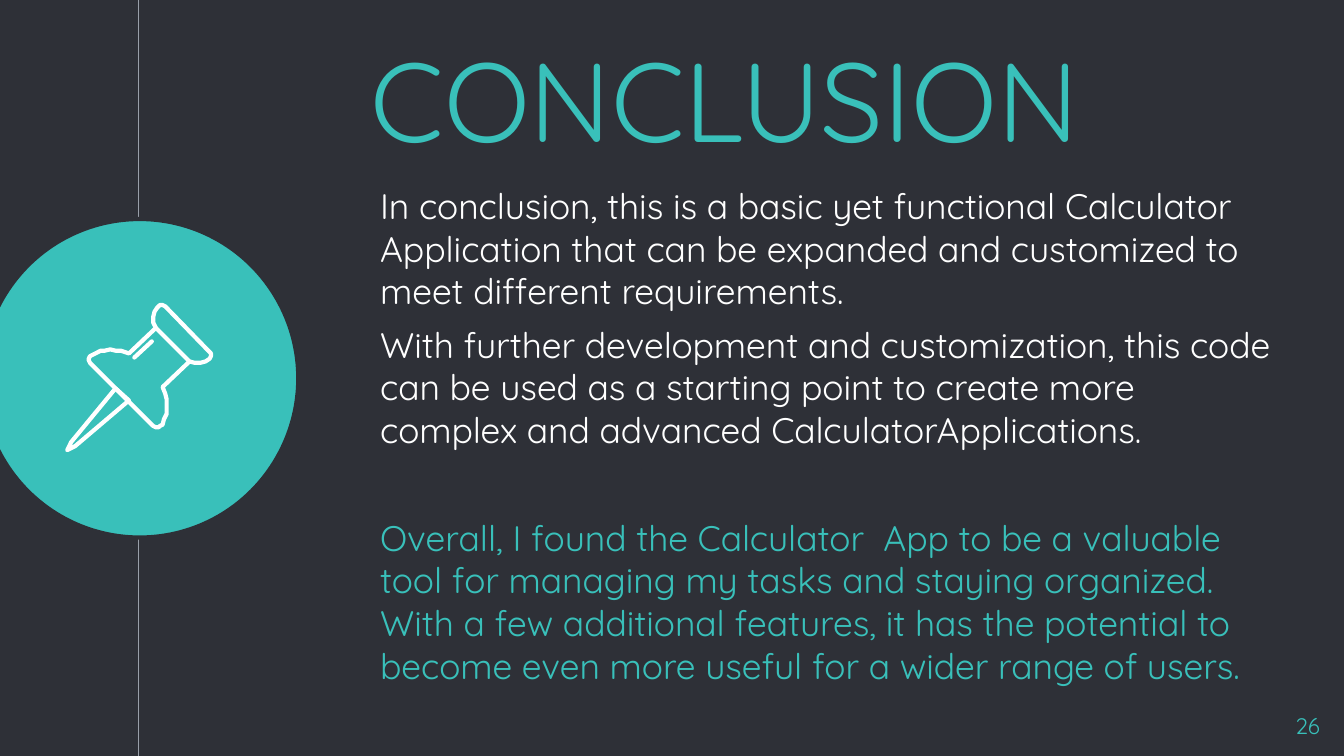
from pptx import Presentation
from pptx.dml.color import RGBColor
from pptx.enum.shapes import MSO_CONNECTOR, MSO_SHAPE
from pptx.enum.text import MSO_ANCHOR, MSO_AUTO_SIZE, PP_ALIGN
from pptx.oxml.ns import qn
from pptx.util import Inches, Pt
from lxml import etree

DARK, TEAL, WHITE, GREY = "2E3037", "39C0BA", "FFFFFF", "999FA9"


def rgb(value):
    return RGBColor.from_string(value)


def style_text(p, size, color):
    p.font.name = "Quicksand"
    p.font.size = Pt(size)
    p.font.color.rgb = rgb(color)


prs = Presentation()
prs.slide_width = Inches(10)
prs.slide_height = Inches(10) * 9 // 16
s = prs.slides.add_slide(prs.slide_layouts[5])
s.background.fill.solid()
s.background.fill.fore_color.rgb = rgb(DARK)

line = s.shapes.add_connector(
    MSO_CONNECTOR.STRAIGHT, Inches(1.03), 0, Inches(1.03), prs.slide_height)
line.line.color.rgb = rgb(GREY)
line.line.width = Pt(0.75)
etree.SubElement(line._element.spPr, qn("a:effectLst"))

circles = [
    (0.92, 2.7, 0.22, 0.22, DARK, GREY, 0.75),
    (-0.14, 1.63, 2.36, 2.37, TEAL, DARK, 2.25),
]
for left, top, width, height, fill, outline, weight in circles:
    sp = s.shapes.add_shape(
        MSO_SHAPE.OVAL, Inches(left), Inches(top), Inches(width), Inches(height))
    sp.shadow.inherit = False
    sp.fill.solid()
    sp.fill.fore_color.rgb = rgb(fill)
    sp.line.color.rgb = rgb(outline)
    sp.line.width = Pt(weight)

title = s.shapes.title
title.left, title.top = Inches(2.66), Inches(0.19)
title.width, title.height = Inches(6.59), Inches(1.08)
body = s.shapes.add_textbox(Inches(2.73), Inches(1.27), Inches(6.85), Inches(4.18))
number = s.shapes.add_textbox(Inches(9.32), Inches(5.2), Inches(0.6), Inches(0.34))
for sp in (title, body, number):
    tf = sp.text_frame
    tf.word_wrap = True
    tf.auto_size = MSO_AUTO_SIZE.NONE
    tf.margin_left = tf.margin_right = tf.margin_top = tf.margin_bottom = Inches(0.1)

title.text_frame.text = "CONCLUSION"
title.text_frame.vertical_anchor = MSO_ANCHOR.MIDDLE
p = title.text_frame.paragraphs[0]
p.alignment = PP_ALIGN.LEFT
style_text(p, 60, TEAL)

paragraphs = [
    ("In conclusion, this is a basic yet functional Calculator Application that can "
     "be expanded and customized to meet different requirements.", WHITE, 6),
    ("With further development and customization, this code can be used as a starting "
     "point to create more complex and advanced CalculatorApplications.", WHITE, 6),
    ("Overall, I found the Calculator  App to be a valuable tool for managing my tasks "
     "and staying organized. With a few additional features, it has the potential to "
     "become even more useful for a wider range of users.", TEAL, 35),
]
tf = body.text_frame
for i, (text, color, gap) in enumerate(paragraphs):
    p = tf.add_paragraph() if i else tf.paragraphs[0]
    p.text = text
    p.space_before = Pt(gap)
    style_text(p, 19, color)

number.text_frame.text = "26"
p = number.text_frame.paragraphs[0]
p.alignment = PP_ALIGN.RIGHT
style_text(p, 12, TEAL)

needle = [(0.86, 2.89), (0.53, 3.29), (0.5, 3.35), (0.56, 3.32), (0.96, 2.98)]
head = [
    (1.16, 2.44), (1.41, 2.69), (1.45, 2.7), (1.49, 2.7), (1.53, 2.69),
    (1.56, 2.67), (1.57, 2.65), (1.57, 2.63), (1.56, 2.62), (1.23, 2.28),
    (1.21, 2.27), (1.19, 2.27), (1.17, 2.29), (1.15, 2.32), (1.14, 2.36),
    (1.14, 2.4), (1.15, 2.42),
]
pin_body = [
    (1.16, 2.44), (0.96, 2.63), (0.93, 2.62), (0.9, 2.61), (0.86, 2.61),
    (0.82, 2.6), (0.78, 2.61), (0.75, 2.61), (0.71, 2.63), (0.67, 2.65),
    (0.66, 2.67), (0.66, 2.68), (0.67, 2.7), (1.14, 3.17), (1.16, 3.18),
    (1.18, 3.18), (1.19, 3.17), (1.21, 3.16), (1.22, 3.12), (1.24, 3.08),
    (1.24, 3.03), (1.24, 2.97), (1.23, 2.93), (1.21, 2.88), (1.41, 2.69),
]
shine = [(1, 2.66), (1.13, 2.54)]
pin = s.shapes.add_group_shape()
for outline, closed in ((needle, True), (head, True), (pin_body, False), (shine, False)):
    points = [(Inches(x), Inches(y)) for x, y in outline]
    fb = pin.shapes.build_freeform(*points[0])
    fb.add_line_segments(points[1:], close=closed)
    sp = fb.convert_to_shape()
    sp.shadow.inherit = False
    sp.fill.background()
    sp.line.color.rgb = rgb(WHITE)
    sp.line.width = Pt(2.25)
    ln = sp.line._get_or_add_ln()
    ln.set("cap", "rnd")
    etree.SubElement(ln, qn("a:round"))

prs.save("out.pptx")
